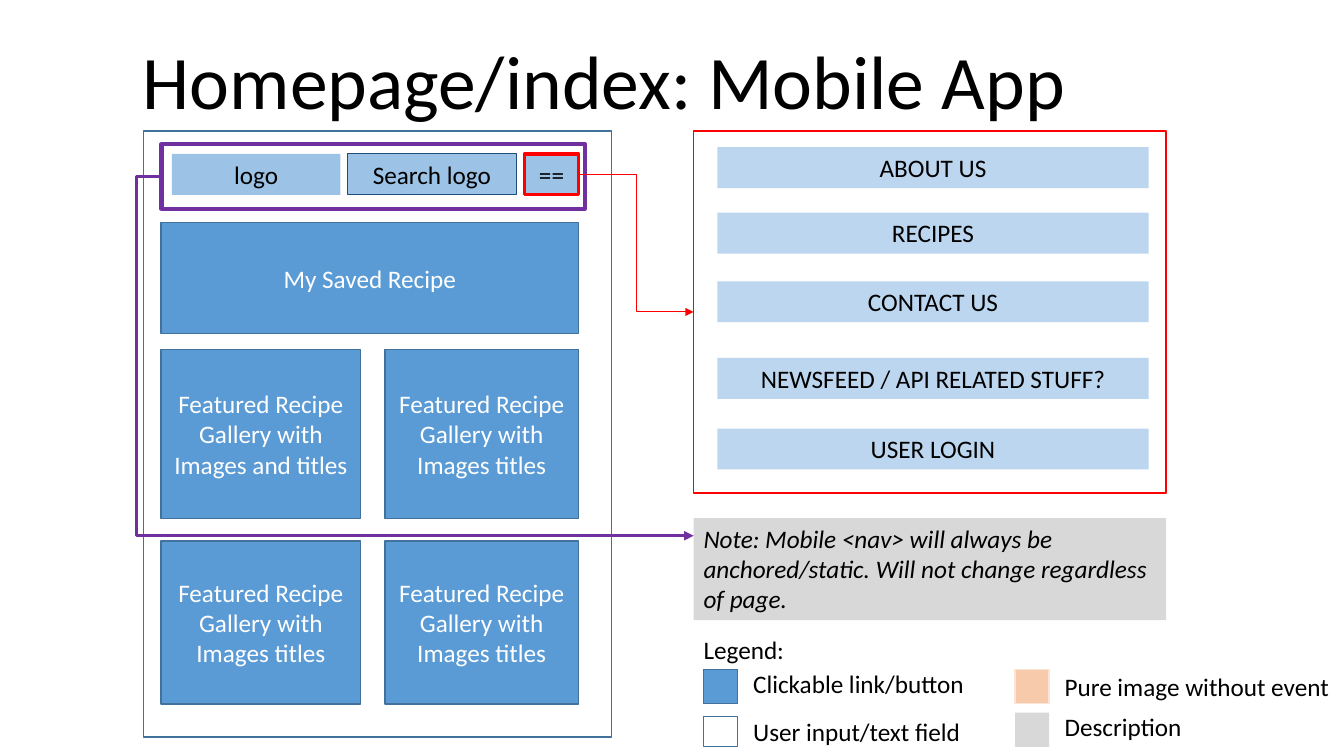
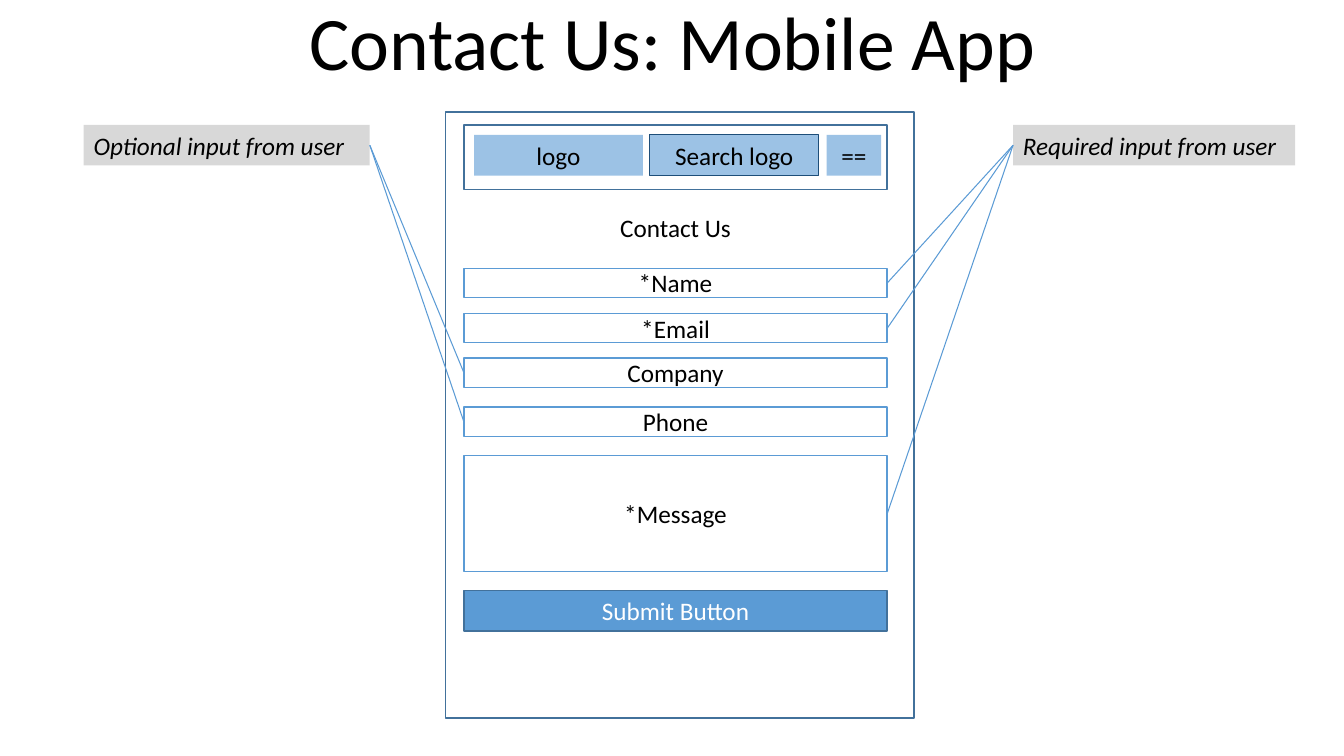
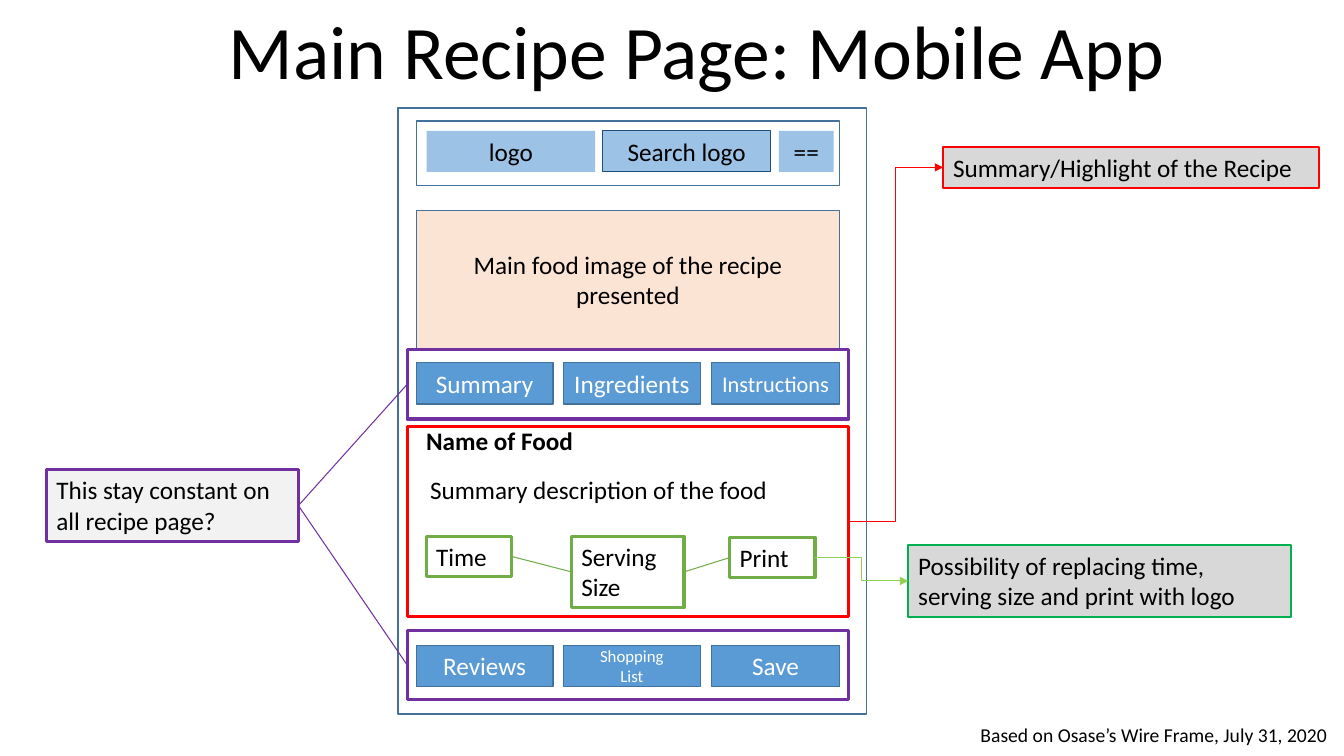
import pptx
import pptx.util
import pptx.dml.color
import pptx.enum.shapes
import pptx.enum.text
import pptx.oxml.ns
import lxml.etree

Cm = pptx.util.Cm
Pt = pptx.util.Pt
qn = pptx.oxml.ns.qn
ALIGN = pptx.enum.text.PP_ALIGN
ANCHOR = pptx.enum.text.MSO_ANCHOR
CONNECTOR = pptx.enum.shapes.MSO_CONNECTOR

FONT = "Calibri"
BLACK, WHITE, RED, PURPLE = "000000", "FFFFFF", "FF0000", "7030A0"
BLUE, BLUE_EDGE, GREY, GREEN = "5B9BD5", "42719B", "D8D8D8", "70AD47"
TOP, LEFT, BOTTOM, RIGHT = range(4)

CENTERED = dict(align=ALIGN.CENTER, anchor=ANCHOR.MIDDLE)
OUTLINE = dict(line=BLUE_EDGE)
BUTTON = dict(fill=BLUE, line=BLUE_EDGE, ink=WHITE, **CENTERED)
FIELD = dict(line=BLUE, **CENTERED)
PHOTO = dict(fill="FBE4D4", line=BLUE_EDGE, **CENTERED)
NAV_PART = dict(fill="9CC2E5", align=ALIGN.CENTER)
MENU_ITEM = dict(fill="BBD6EE", align=ALIGN.CENTER)
NOTE = dict(fill=GREY)
DETAIL = dict(line=GREEN, weight=2.25)
CONSTANT = dict(line=PURPLE, weight=2.25)

PHONE_SIZE = (11.81, 15.27)
NAV = (0.46, 0.33, 10.67, 1.63)
NAV_PARTS = [
    ("logo", 0.72, 4.25, {}),
    ("Search logo", 5.15, 4.25, dict(line="1E4E79", weight=0.75)),
    ("==", 9.6, 1.38, {}),
]

HOME_TITLE = ("Homepage/index: Mobile App ", (3.02, 1.37, 24.84, 1.93))
HOME_PHONE = (3.61, 3.3)
SAVED = ("My Saved Recipe", (4.06, 5.61, 10.52, 2.8))
GALLERY_COLUMNS = [(4.06, 5.03), (9.7, 4.88)]
GALLERY_ROWS = [(8.81, 4.25), (13.63, 4.11)]
GALLERIES = [
    ["Featured Recipe Gallery with Images and titles",
     "Featured Recipe Gallery with Images titles"],
    ["Featured Recipe Gallery with Images titles",
     "Featured Recipe Gallery with Images titles"],
]
MENU_PANEL = (17.48, 3.3, 11.91, 9.12)
MENU = [
    ("ABOUT US", 3.71),
    ("RECIPES", 5.36),
    ("CONTACT US", 7.09),
    ("NEWSFEED / API RELATED STUFF?", 9.02),
    ("USER LOGIN", 10.8),
]
NAV_NOTE = ("Note: Mobile <nav> will always be anchored/static. "
            "Will not change regardless of page.", (17.48, 13.06, 11.91, 2.57))
LEGEND_HEADING = ("Legend:", (17.48, 15.85, 2.82, 1.02))
LEGEND = [
    ("Clickable link/button", 17.73, 16.87, 0.86, 16.71, dict(fill=BLUE, line=BLUE_EDGE)),
    ("User input/text field", 17.73, 18.06, 0.76, 17.93, OUTLINE),
    ("Pure image without event", 25.58, 16.87, 0.86, 16.79, dict(fill="F7CAAC", line="FBE4D4")),
    ("Description", 25.58, 17.96, 0.86, 17.81, NOTE),
]

CONTACT_TITLE = ("Contact Us: Mobile App ", (6.81, 0.2, 20.7, 2.11))
CONTACT_PHONE = (11.23, 2.82)
CONTACT_HEADING = ("Contact Us", 5.23)
FIELDS = [
    ("*Name", 6.76, 0.74),
    ("*Email", 7.9, 0.74),
    ("Company", 9.02, 0.74),
    ("Phone", 10.26, 0.74),
    ("*Message", 11.48, 2.92),
]
SUBMIT = ("Submit Button", 14.88)
INPUT_NOTES = [
    ("Required input from user", (25.53, 3.15, 7.11, 1.02), LEFT,
     ["*Name", "*Email", "*Message"]),
    ("Optional input from user", (2.11, 3.15, 7.21, 1.02), RIGHT,
     ["Company", "Phone"]),
]

RECIPE_TITLE = ("Main Recipe Page: Mobile App ", (5.33, 0.43, 24.89, 2.11))
RECIPE_PHONE = (10.03, 2.72)
FOOD_IMAGE = ("Main food image of the recipe presented", (10.49, 5.31, 10.67, 3.48))
TAB_COLUMNS = [(10.49, 3.45), (14.2, 3.45), (17.93, 3.23)]
TAB_BARS = [
    (8.81, 9.14, [("Summary", 18), ("Ingredients", 18), ("Instructions", 16)]),
    (15.88, 16.26, [("Reviews", 18), ("Shopping\nList", 12), ("Save", 18)]),
]
FOOD_PANEL = (10.26, 10.74, 11.13, 4.8)
FOOD_NAME = ("Name of Food", (10.49, 10.59, 10.67, 1.02))
FOOD_SUMMARY = ("Summary description of the food", (10.59, 11.84, 10.67, 1.02))
DETAILS = [
    ("Time", (10.74, 13.51, 2.15, 1.02)),
    ("Serving Size", (14.4, 13.51, 2.84, 1.8)),
    ("Print", (18.39, 13.54, 2.15, 1.02)),
]
SUMMARY_NOTE = ("Summary/Highlight of the Recipe", (23.77, 3.71, 9.47, 1.02))
LOGO_NOTE = ("Possibility of replacing time, serving size and print with logo",
             (22.89, 13.74, 9.65, 1.8))
CONSTANT_NOTE = ("This stay constant on all recipe page?", (1.17, 11.84, 6.35, 1.8))
CREDIT = ("Based on Osase’s Wire Frame, July 31, 2020", (24.46, 18.08, 9.4, 0.86))


def rgb(code):
    return pptx.dml.color.RGBColor.from_string(code)


def write(frame, text, size=18, ink=BLACK, align=ALIGN.LEFT, anchor=ANCHOR.TOP,
          bold=False, italic=False, spacing=None):
    frame.word_wrap = True
    frame.auto_size = pptx.enum.text.MSO_AUTO_SIZE.NONE
    frame.vertical_anchor = anchor
    for index, words in enumerate(text.split("\n")):
        paragraph = frame.add_paragraph() if index else frame.paragraphs[0]
        paragraph.alignment = align
        if spacing:
            paragraph.line_spacing = spacing
        run = paragraph.add_run()
        run.text = words
        run.font.name, run.font.size = FONT, Pt(size)
        run.font.bold, run.font.italic = bold, italic
        run.font.color.rgb = rgb(ink)


def box(slide, text, area, fill=None, line=None, weight=1, **style):
    place = [Cm(length) for length in area]
    if not (fill or line):
        label = slide.shapes.add_textbox(*place)
        write(label.text_frame, text, **style)
        return label
    part = slide.shapes.add_shape(pptx.enum.shapes.MSO_SHAPE.RECTANGLE, *place)
    part.shadow.inherit = False
    if fill:
        part.fill.solid()
        part.fill.fore_color.rgb = rgb(fill)
    else:
        part.fill.background()
    if line:
        part.line.color.rgb = rgb(line)
        part.line.width = Pt(weight)
    else:
        part.line.fill.background()
    if text:
        write(part.text_frame, text, **style)
    return part


def side(part, site):
    x = {LEFT: 0, RIGHT: part.width}.get(site, part.width // 2)
    y = {TOP: 0, BOTTOM: part.height}.get(site, part.height // 2)
    return part.left + x, part.top + y


def connect(slide, kind, start, end, color, weight):
    connector = slide.shapes.add_connector(kind, *start, *end)
    connector.line.color.rgb = rgb(color)
    connector.line.width = Pt(weight)
    lxml.etree.SubElement(connector._element.spPr, qn("a:effectLst"))
    return connector


def link(slide, first, first_site, second, second_site, color):
    connector = connect(slide, CONNECTOR.STRAIGHT, side(first, first_site),
                        side(second, second_site), color, 0.75)
    connector.begin_connect(first, first_site)
    connector.end_connect(second, second_site)


def elbow(slide, start, end, color, weight=0.75, bend=0.5):
    properties = connect(slide, CONNECTOR.ELBOW, start, end, color, weight)._element.spPr
    lxml.etree.SubElement(properties.find(qn("a:ln")), qn("a:tailEnd"), type="triangle")
    geometry = properties.find(qn("a:prstGeom"))
    adjustments = geometry.find(qn("a:avLst"))
    if adjustments is None:
        adjustments = lxml.etree.SubElement(geometry, qn("a:avLst"))
    lxml.etree.SubElement(adjustments, qn("a:gd"), name="adj1",
                          fmla=f"val {round(bend * 100000)}")


def start_page(deck, title, phone, nav_style=OUTLINE, menu_style={}):
    slide = deck.slides.add_slide(deck.slide_layouts[5])
    text, area = title
    heading = slide.shapes.title
    heading.left, heading.top, heading.width, heading.height = map(Cm, area)
    write(heading.text_frame, text, size=54, align=ALIGN.CENTER,
          anchor=ANCHOR.BOTTOM, spacing=0.9)
    x, y = phone
    box(slide, "", (x, y, *PHONE_SIZE), **OUTLINE)
    nav = box(slide, "", (x + NAV[0], y + NAV[1], *NAV[2:]), **nav_style)
    for words, offset, width, edge in NAV_PARTS:
        extra = menu_style if words == "==" else edge
        menu = box(slide, words, (x + offset, y + 0.58, width, 1.03), **NAV_PART, **extra)
    return slide, nav, menu


def build_home(deck):
    slide, nav, menu = start_page(deck, HOME_TITLE, HOME_PHONE,
                                  dict(line=PURPLE, weight=3), dict(line=RED, weight=2.25))
    box(slide, *SAVED, **BUTTON)
    for (y, height), row in zip(GALLERY_ROWS, GALLERIES):
        for (x, width), words in zip(GALLERY_COLUMNS, row):
            box(slide, words, (x, y, width, height), **BUTTON)
    panel = box(slide, "", MENU_PANEL, line=RED)
    for words, y in MENU:
        box(slide, words, (18.08, y, 10.87, 1.03), **MENU_ITEM)
    note = box(slide, *NAV_NOTE, **NOTE, italic=True)
    elbow(slide, side(menu, RIGHT), side(panel, LEFT), RED)
    elbow(slide, side(nav, LEFT), (note.left, Cm(13.5)), PURPLE, 2.25, -0.047)
    box(slide, *LEGEND_HEADING)
    for words, x, y, height, label_y, style in LEGEND:
        box(slide, "", (x, y, 0.86, height), **style)
        box(slide, words, (x + 1, label_y, 7.27, 1.02))


def build_contact(deck):
    slide, nav, menu = start_page(deck, CONTACT_TITLE, CONTACT_PHONE)
    x, width = CONTACT_PHONE[0] + NAV[0], NAV[2]
    words, y = CONTACT_HEADING
    box(slide, words, (x, y, width, 1.02), align=ALIGN.CENTER)
    fields = {words: box(slide, words, (x, y, width, height), **FIELD)
              for words, y, height in FIELDS}
    words, y = SUBMIT
    box(slide, words, (x, y, width, 1.02), **BUTTON)
    for words, area, note_side, names in INPUT_NOTES:
        note = box(slide, words, area, **NOTE, italic=True)
        for name in names:
            link(slide, fields[name], LEFT + RIGHT - note_side, note, note_side, BLUE)


def build_recipe(deck):
    slide, nav, menu = start_page(deck, RECIPE_TITLE, RECIPE_PHONE)
    box(slide, *CREDIT, size=14)
    box(slide, *FOOD_IMAGE, **PHOTO)
    constant_note = box(slide, *CONSTANT_NOTE, fill="F2F2F2", **CONSTANT)
    for bar_y, tab_y, tabs in TAB_BARS:
        bar = box(slide, "", (10.26, bar_y, 11.13, 1.75), **CONSTANT)
        for (x, width), (words, size) in zip(TAB_COLUMNS, tabs):
            box(slide, words, (x, tab_y, width, 1.04), size=size, **BUTTON)
        link(slide, bar, LEFT, constant_note, RIGHT, PURPLE)
    box(slide, *FOOD_SUMMARY, align=ALIGN.JUSTIFY)
    box(slide, *FOOD_NAME, bold=True)
    panel = box(slide, "", FOOD_PANEL, line=RED, weight=2.25)
    details = [box(slide, *detail, **DETAIL) for detail in DETAILS]
    for before, after in zip(details, details[1:]):
        link(slide, before, RIGHT, after, LEFT, GREEN)
    summary_note = box(slide, *SUMMARY_NOTE, **NOTE, line=RED, weight=1.5)
    logo_note = box(slide, *LOGO_NOTE, **NOTE, line="00B050", weight=1.5)
    elbow(slide, side(panel, RIGHT), side(summary_note, LEFT), RED)
    elbow(slide, side(details[-1], RIGHT), side(logo_note, LEFT), "92D050")


def main():
    deck = pptx.Presentation()
    deck.slide_width, deck.slide_height = Cm(33.87), Cm(19.05)
    build_home(deck)
    build_contact(deck)
    build_recipe(deck)
    deck.save("out.pptx")


if __name__ == "__main__":
    main()
